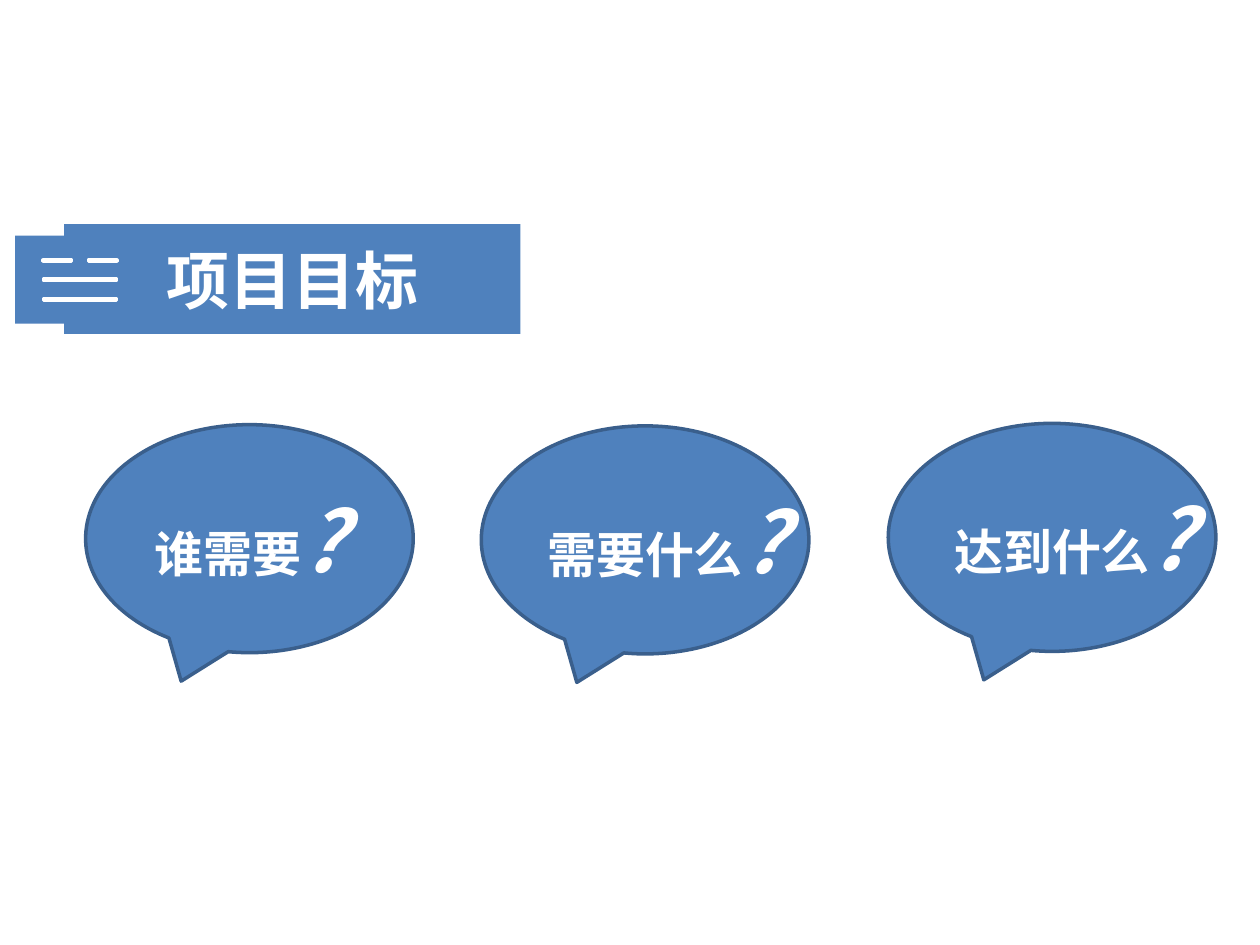
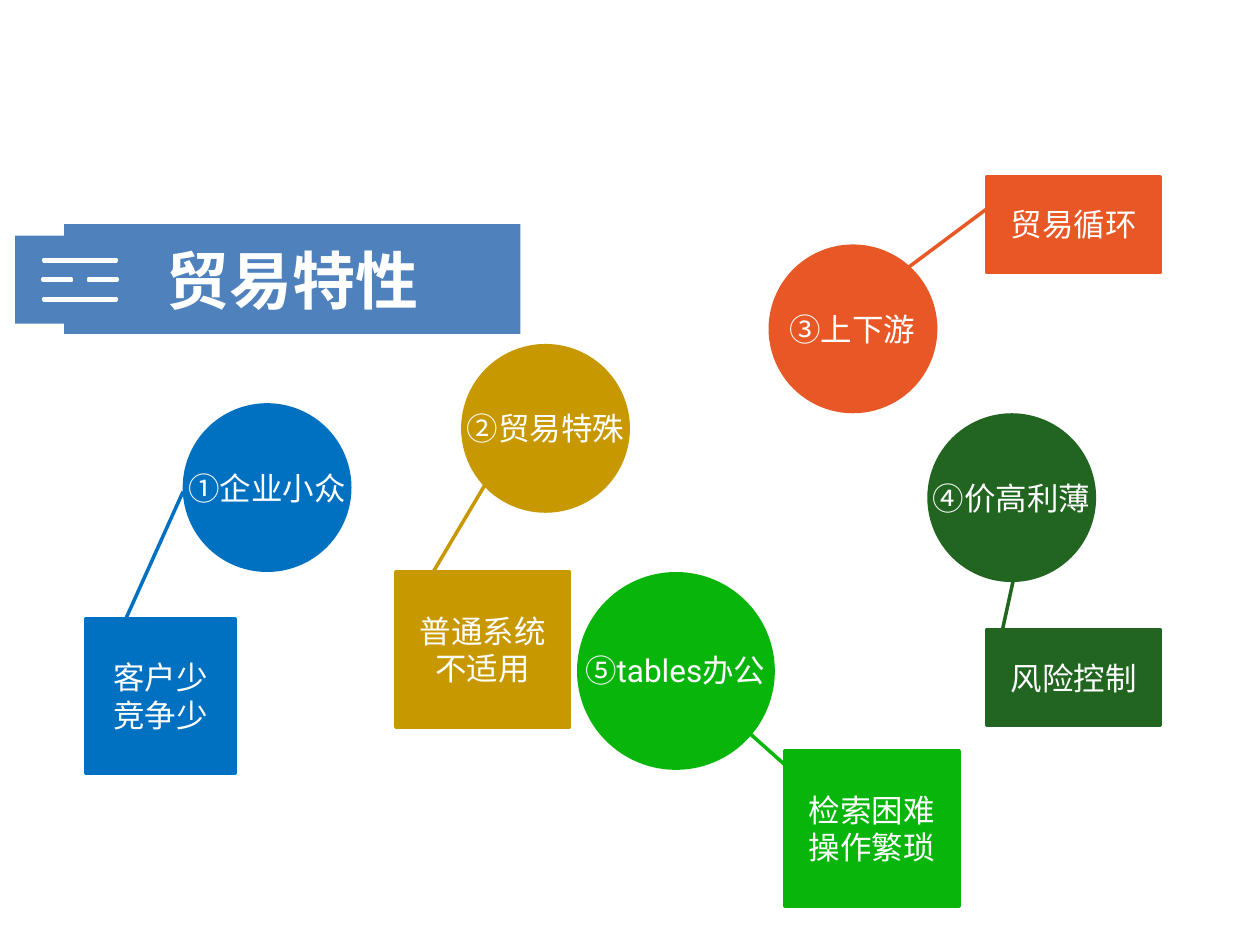
"""Build two slides on project goals and trade characteristics."""
from dataclasses import dataclass, field

from lxml.etree import SubElement
from pptx import Presentation
from pptx.dml.color import RGBColor
from pptx.enum.lang import MSO_LANGUAGE_ID as Lang
from pptx.enum.shapes import MSO_SHAPE as Preset
from pptx.enum.text import MSO_ANCHOR as Anchor, MSO_AUTO_SIZE as AutoSize, PP_ALIGN as Align
from pptx.oxml.ns import qn
from pptx.shapes.autoshape import Shape
from pptx.slide import Slide
from pptx.text.text import TextFrame
from pptx.util import Emu, Pt

PX = 9144
BLUE, OUTLINE, WHITE = "4F81BD", "3A5F8C", "FFFFFF"
CJK, LATIN = "Noto Sans CJK SC", "Roboto"
ICON_ROWS = (205, 220, 236)
BUBBLE_SIZE = (260, 181)
LABEL_HEIGHT = 40


@dataclass(frozen=True)
class Words:
    text: str
    size: int = 18
    font: str = CJK
    style: dict[str, bool] = field(default_factory=dict)


@dataclass(frozen=True)
class Bubble:
    left: int
    top: int
    question: str


@dataclass(frozen=True)
class Trait:
    color: str
    circle: tuple[int, int, int]
    label: list[Words]
    label_width: int
    box: tuple[int, int, int, int]
    pointer: tuple[float, float, float, float]
    detail: str


BUBBLES = [
    Bubble(382, 338, "需要什么"),
    Bubble(705, 336, "达到什么"),
    Bubble(68, 337, "谁需要"),
]

TRAITS = [
    Trait("0070C0", (145, 320, 134), [Words("①企业小众")], 146,
          (68, 491, 119, 123), (0.19, 0.18, -0.82, 0.65), "客户少\n竞争少"),
    Trait("C89800", (366, 273, 134), [Words("②贸易特殊")], 146,
          (314, 454, 138, 123), (0.2, 0.11, -0.82, 0.65), "普通系统不适用"),
    Trait("E85826", (610, 194, 134), [Words("③上下游")], 121,
          (783, 140, 138, 76), (0.26, 0.06, 1.1, -0.56), "贸易循环"),
    Trait("216521", (736, 328, 134), [Words("④价高利薄")], 146,
          (783, 500, 138, 76), (0.26, 0.06, -0.82, 0.19), "风险控制"),
    Trait("07B50B", (458, 454, 157),
          [Words("⑤"), Words("tables", font=LATIN), Words("办公")], 170,
          (623, 596, 138, 123), (0.2, 0.11, -0.39, -0.48), "检索困难操作繁琐"),
]


def rgb(color: str) -> RGBColor:
    """Turn a hex string into a colour."""
    return RGBColor.from_string(color)


def emu(*lengths: int) -> list[Emu]:
    """Turn px lengths into EMU."""
    return [Emu(length * PX) for length in lengths]


def write(frame: TextFrame, paragraphs: list[list[Words]]) -> None:
    """Write centred white paragraphs into a text frame."""
    for index, words_list in enumerate(paragraphs):
        paragraph = frame.add_paragraph() if index else frame.paragraphs[0]
        paragraph.alignment = Align.CENTER
        paragraph._p.get_or_add_pPr().set("hangingPunct", "1")
        for words in words_list:
            run = paragraph.add_run()
            run.text = words.text
            formats = {"size": Pt(words.size), "name": words.font,
                       "language_id": Lang.SIMPLIFIED_CHINESE, **words.style}
            for name, value in formats.items():
                setattr(run.font, name, value)
            run.font.color.rgb = rgb(WHITE)
            SubElement(run._r.get_or_add_rPr(), qn("a:ea"), typeface=words.font)


def draw(slide: Slide, preset: Preset, box: tuple[int, int, int, int],
         fill: str | None = None, line: str | None = None,
         paragraphs: list[list[Words]] | None = None) -> Shape:
    """Draw a preset shape with optional fill, outline and text."""
    shape = slide.shapes.add_shape(preset, *emu(*box))
    shape.shadow.inherit = False
    if fill:
        shape.fill.solid()
        shape.fill.fore_color.rgb = rgb(fill)
    else:
        shape.fill.background()
    if line:
        shape.line.color.rgb = rgb(line)
        shape.line.width = Pt(2)
    else:
        shape.line.fill.background()
    shape.text_frame.vertical_anchor = Anchor.MIDDLE
    write(shape.text_frame, paragraphs or [])
    return shape


def add_header(slide: Slide, title: str, split_row: int) -> None:
    """Draw the title band and its icon, whose split row has two dashes."""
    heading = Words(title, 36, style={"bold": True})
    draw(slide, Preset.RECTANGLE, (51, 178, 362, 87), BLUE, paragraphs=[[heading]])
    draw(slide, Preset.RECTANGLE, (12, 187, 113, 70), BLUE)
    for row, top in enumerate(ICON_ROWS):
        dashes = [(30, 31), (66, 31)] if row == split_row else [(24, 79)]
        for left, width in dashes:
            draw(slide, Preset.MATH_MINUS, (left, top, width, 4), line=WHITE)


def add_bubble(slide: Slide, bubble: Bubble) -> None:
    """Draw a speech bubble that ends in a large question mark."""
    question = Words(bubble.question, 28, style={"bold": True})
    mark = Words("?", 48, style={"bold": True, "italic": True})
    draw(slide, Preset.OVAL_CALLOUT, (bubble.left, bubble.top, *BUBBLE_SIZE),
         BLUE, OUTLINE, [[question, mark]])


def add_circle(slide: Slide, trait: Trait) -> None:
    """Draw a trait's circle with its label over the middle."""
    left, top, diameter = trait.circle
    draw(slide, Preset.OVAL, (left, top, diameter, diameter), trait.color)
    label = slide.shapes.add_textbox(*emu(
        left + (diameter - trait.label_width) // 2, top + (diameter - LABEL_HEIGHT) // 2,
        trait.label_width, LABEL_HEIGHT)).text_frame
    for name, value in {"word_wrap": False, "auto_size": AutoSize.SHAPE_TO_FIT_TEXT}.items():
        setattr(label, name, value)
    write(label, [trait.label])


def add_detail(slide: Slide, trait: Trait) -> None:
    """Draw the callout box that points at a trait's circle."""
    callout = draw(slide, Preset.LINE_CALLOUT_1, trait.box, trait.color, trait.color,
                   [[Words(text)] for text in trait.detail.split("\n")])
    for index, value in enumerate(trait.pointer):
        callout.adjustments[index] = value


def main() -> None:
    """Build and save the deck."""
    deck = Presentation()
    deck.slide_width, deck.slide_height = emu(1000, 750)
    blank = deck.slide_layouts[6]

    goals = deck.slides.add_slide(blank)
    add_header(goals, "项目目标", split_row=0)
    for bubble in BUBBLES:
        add_bubble(goals, bubble)

    traits = deck.slides.add_slide(blank)
    add_header(traits, "贸易特性", split_row=1)
    for add_part in (add_circle, add_detail):
        for trait in TRAITS:
            add_part(traits, trait)

    deck.save("out.pptx")


if __name__ == "__main__":
    main()
